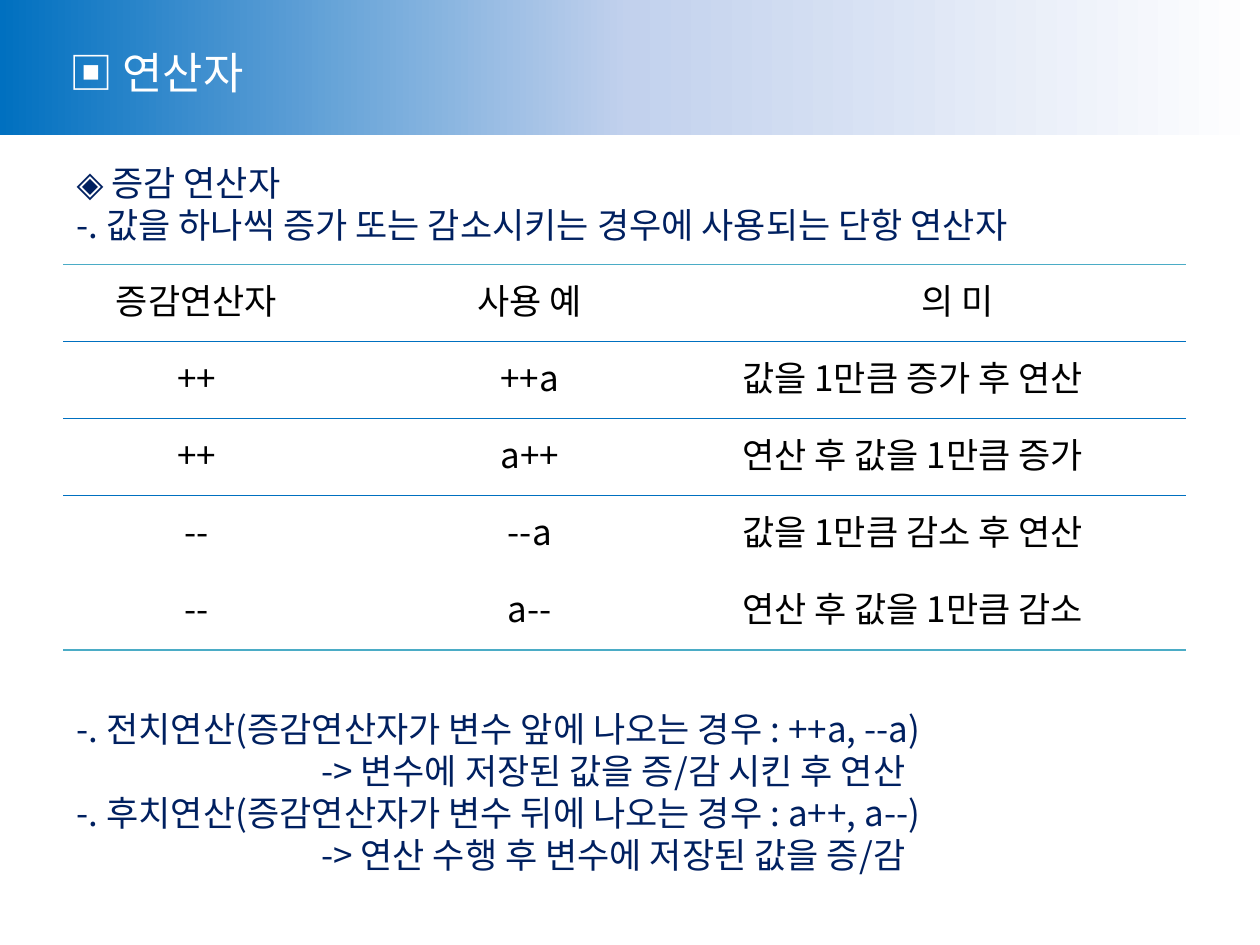
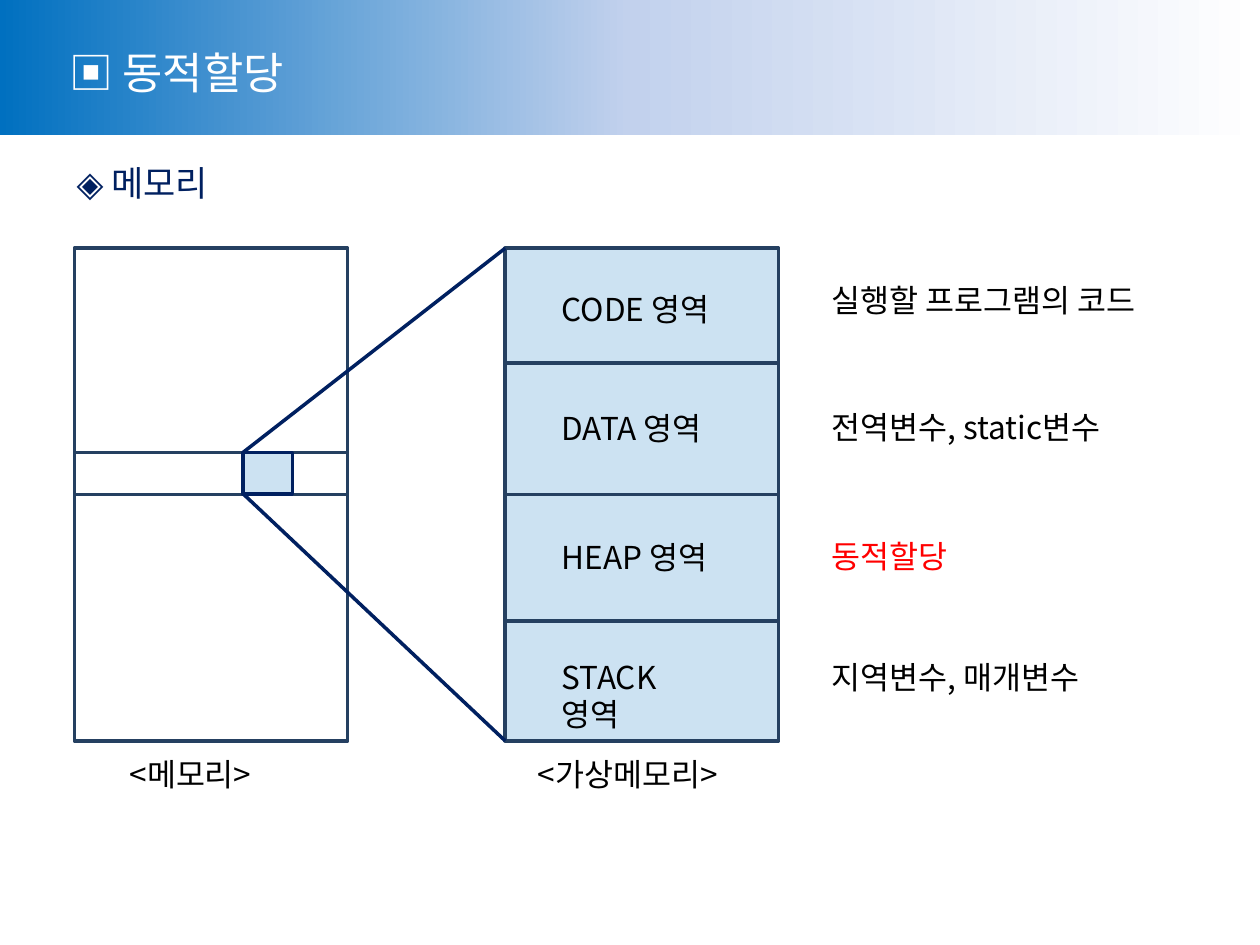
from copy import deepcopy

from lxml.etree import SubElement
from pptx import Presentation
from pptx.dml.color import RGBColor
from pptx.enum.shapes import MSO_CONNECTOR as Connector, MSO_SHAPE as Shape
from pptx.enum.text import MSO_ANCHOR as Anchor, PP_ALIGN as Align
from pptx.oxml.ns import qn
from pptx.util import Inches, Pt

FONT = "Noto Sans CJK KR"
WHITE, BLACK, RED = "FFFFFF", "000000", "FF0000"
BLUE, NAVY, SLATE, TEAL = "0070C0", "002060", "254061", "4BACC6"
BAND_STOPS = [(0, BLUE), (0.5, "C2D1ED"), (1, WHITE)]
PLAIN_TABLE = "{2D5ABB26-0587-4C30-8999-92F81FD0307C}"
BODY_BOX = (0.45, 1.23, 9.04, 0.44)

OPERATORS = [
    ("증감연산자", "사용 예", "의 미"),
    ("++", "++a", "값을 1만큼 증가 후 연산"),
    ("++", "a++", "연산 후 값을 1만큼 증가"),
    ("--", "--a", "값을 1만큼 감소 후 연산"),
    ("--", "a--", "연산 후 값을 1만큼 감소"),
]
AREAS = [
    ("CODE 영역", 0.28, "실행할 프로그램의 코드", 0.21, BLACK),
    ("DATA 영역", 1.23, "전역변수, static변수", 1.22, BLACK),
    ("HEAP 영역", 2.25, "동적할당", 2.24, RED),
    ("STACK 영역", 3.2, "지역변수, 매개변수", 3.2, BLACK),
]


def rgb(color):
    """Turn a hex string into a colour."""
    return RGBColor.from_string(color)


def style(paragraph, size, color, align=Align.LEFT, indent=0):
    """Format one paragraph."""
    paragraph.alignment = align
    paragraph.line_spacing = Pt(size * 1.2)
    properties = paragraph._p.get_or_add_pPr()
    properties.set("marL", str(Inches(indent)))
    properties.set("indent", "0")
    font = paragraph.font
    font.size, font.name, font.color.rgb = Pt(size), FONT, rgb(color)
    SubElement(properties.find(qn("a:defRPr")), qn("a:ea"), typeface=FONT)


def add_text(slide, box, lines, size=18, color=BLACK, indents=(0,), wrap=True):
    """Add a text box with one paragraph per line and return its frame."""
    frame = slide.shapes.add_textbox(*map(Inches, box)).text_frame
    frame.word_wrap = wrap
    frame.text = "\n".join(lines)
    for paragraph, indent in zip(frame.paragraphs, indents):
        style(paragraph, size, color, indent=indent)
    return frame


def add_rectangle(slide, box, line=None, tinted=False):
    """Add a rectangle, hollow or lightly tinted."""
    rectangle = slide.shapes.add_shape(Shape.RECTANGLE, *map(Inches, box))
    rectangle.shadow.inherit = False
    if tinted:
        rectangle.fill.solid()
        rectangle.fill.fore_color.rgb = rgb(BLUE)
        tint = rectangle.element.spPr.find(".//" + qn("a:srgbClr"))
        SubElement(tint, qn("a:alpha"), val="20000")
    else:
        rectangle.fill.background()
    if line:
        rectangle.line.color.rgb = rgb(line)
        rectangle.line.width = Pt(2)
    else:
        rectangle.line.fill.background()
    return rectangle


def add_line(slide, start, end, color):
    """Add a straight line between two points."""
    line = slide.shapes.add_connector(
        Connector.STRAIGHT, *map(Inches, (*start, *end)))
    line.line.color.rgb = rgb(color)
    line.line.width = Pt(2)
    SubElement(line.element.spPr, qn("a:effectLst"))
    return line


def add_titled_slide(deck, heading):
    """Add a slide with the gradient band and its title."""
    slide = deck.slides.add_slide(deck.slide_layouts[5])
    band = add_rectangle(slide, (0, 0, 10, 1.07))
    band.fill.gradient()
    band.fill.gradient_angle = 0
    stops = band.element.spPr.find(".//" + qn("a:gsLst"))
    stops.insert(1, deepcopy(stops[0]))
    for stop, (position, color) in zip(band.fill.gradient_stops, BAND_STOPS):
        stop.position = position
        stop.color.rgb = rgb(color)

    title = slide.shapes.title
    title.element.addprevious(band.element)
    title.left, title.top, title.width, title.height = map(
        Inches, (0.45, 0.31, 2.08, 0.52))
    frame = title.text_frame
    frame.text = heading
    frame.word_wrap = False
    frame.vertical_anchor = Anchor.TOP
    style(frame.paragraphs[0], 25, WHITE)
    return slide


def add_border(cell, side, color, width):
    """Draw one border of a table cell."""
    edge = SubElement(cell._tc.get_or_add_tcPr(), qn(f"a:{side}"), w=str(Pt(width)))
    SubElement(SubElement(edge, qn("a:solidFill")), qn("a:srgbClr"), val=color)


def add_operator_table(slide, box):
    """Add the ruled table of operators."""
    last = len(OPERATORS) - 1
    table = slide.shapes.add_table(last + 1, 3, *map(Inches, box)).table
    table.first_row = table.horz_banding = False
    table._tbl.tblPr.find(qn("a:tableStyleId")).text = PLAIN_TABLE
    for column, width in zip(table.columns, (2.12, 3.17, 3.62)):
        column.width = Inches(width)
    rules = {0: (TEAL, 1), 1: (BLUE, 0.5), 2: (BLUE, 0.5), last + 1: (TEAL, 1)}
    for r, texts in enumerate(OPERATORS):
        for c, text in enumerate(texts):
            cell = table.cell(r, c)
            cell.text = text
            cell.vertical_anchor = Anchor.MIDDLE
            meaning = r > 0 and c == 2
            style(cell.text_frame.paragraphs[0], 20, BLACK,
                  Align.LEFT if meaning else Align.CENTER)
            for side, rule in (("lnT", r), ("lnB", r + 1)):
                if rule in rules:
                    add_border(cell, side, *rules[rule])
            cell.fill.background()


def add_operator_slide(deck):
    """Build the slide on increment and decrement operators."""
    slide = add_titled_slide(deck, "▣ 연산자")
    left, top, width, _ = BODY_BOX
    explanation = add_text(slide, (left, top, width, 6.16), [
        "◈ 증감 연산자",
        "-. 값을 하나씩 증가 또는 감소시키는 경우에 사용되는 단항 연산자",
        "-. 전치연산(증감연산자가 변수 앞에 나오는 경우 : ++a, --a)",
        "-> 변수에 저장된 값을 증/감 시킨 후 연산",
        "-. 후치연산(증감연산자가 변수 뒤에 나오는 경우 : a++, a--)",
        "-> 연산 수행 후 변수에 저장된 값을 증/감",
    ], 20, NAVY, (0.06, 0.06, 0.06, 2, 0.06, 2))
    explanation.paragraphs[2].space_before = Pt(11 * 24)
    add_operator_table(slide, (0.5, 2.1, 8.91, 3.06))


def add_memory_block(slide, box, offsets, caption, caption_left, tinted=False):
    """Add a captioned block divided at its middle and at the given offsets."""
    left, top, width, height = box
    block = add_rectangle(slide, box, SLATE, tinted)
    for offset in (height / 2, *offsets):
        y = top + offset
        divider = add_line(slide, (left, y), (left + width, y), SLATE)
        if offset == height / 2:
            divider.begin_connect(block, 1)
            divider.end_connect(block, 3)
    add_text(slide, (left + caption_left, top + height + 0.06, 1.82, 0.4),
             [caption], wrap=False)


def add_areas(slide, box):
    """Name the areas of the virtual memory and tell what each one holds."""
    left, top, width, _ = box
    for area, area_top, content, content_top, color in AREAS:
        add_text(slide, (left + 0.35, top + area_top, 1.46, 0.4), [area])
        add_text(slide, (left + width + 0.32, top + content_top, 2.99, 0.4),
                 [content], color=color)


def add_memory_slide(deck):
    """Build the slide on memory areas."""
    slide = add_titled_slide(deck, "▣ 동적할당")
    add_text(slide, BODY_BOX, ["◈ 메모리"], 20, NAVY, (0.06,))
    virtual = (4.01, 1.97, 2.17, 3.91)
    memory = (0.59, *virtual[1:])
    process = (1.93, 3.59, 0.39, 0.33)
    add_memory_block(slide, virtual, (0.91, 2.96), "<가상메모리>", 0.16, True)
    add_areas(slide, virtual)
    add_memory_block(slide, memory, (1.62,), "<메모리>", 0.34)
    add_rectangle(slide, process, NAVY, True)
    for edge in (0, 1):
        start, end = ((left, top + edge * height)
                      for left, top, _, height in (process, virtual))
        add_line(slide, start, end, NAVY)


def main():
    """Build and save the deck."""
    deck = Presentation()
    deck.slide_width, deck.slide_height = Inches(10), Inches(7.5)
    add_operator_slide(deck)
    add_memory_slide(deck)
    deck.save("out.pptx")


if __name__ == "__main__":
    main()
